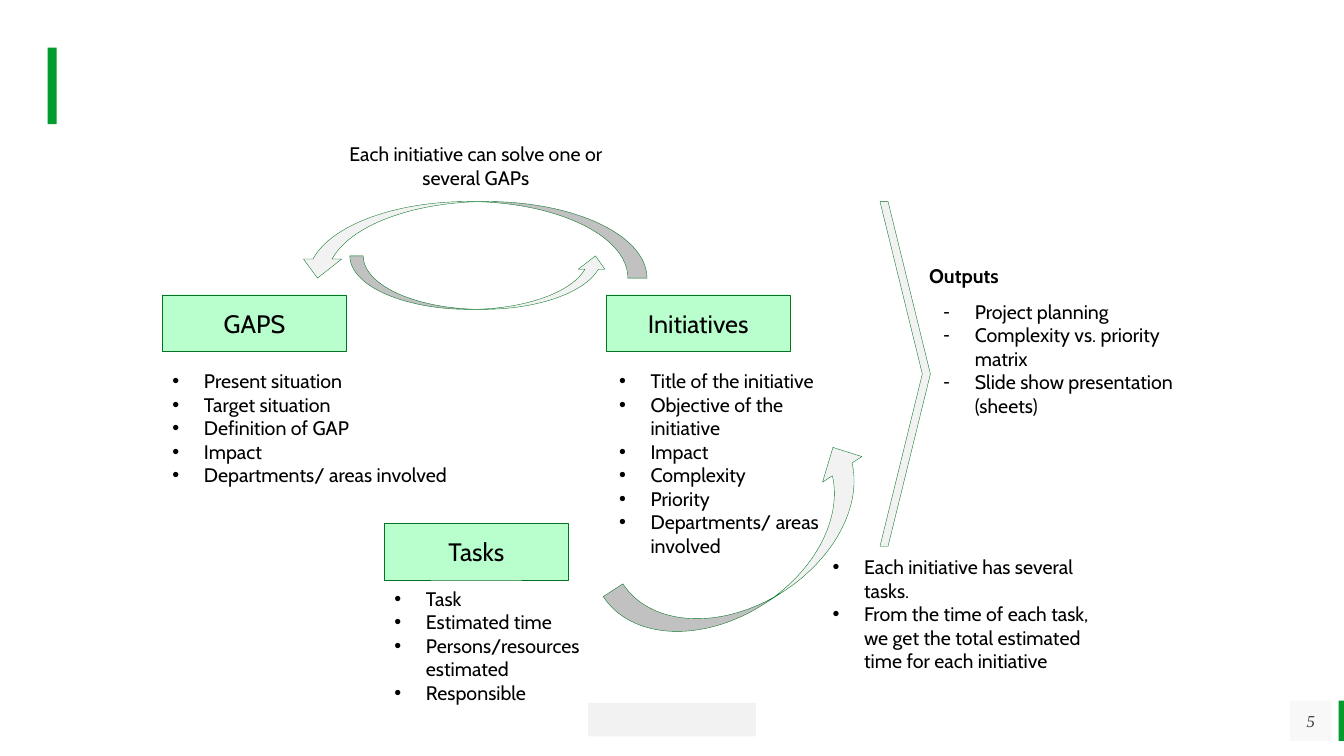
import pptx
import pptx.dml.color
import pptx.enum.shapes
import pptx.enum.text
import pptx.oxml
import pptx.oxml.ns
import pptx.util

Pt = pptx.util.Pt
SHAPES = pptx.enum.shapes.MSO_SHAPE
ALIGN = pptx.enum.text.PP_ALIGN
ANCHOR = pptx.enum.text.MSO_ANCHOR
GREEN, DARK_GREEN, MINT = "029B2D", "017321", "B9FECD"
PALE, GREY, BLACK = "F2F2F2", "404040", "000000"
SERIF = "Times New Roman"


def colour(code):
    """Turn a hex string into a colour."""
    return pptx.dml.color.RGBColor.from_string(code)


def xml_element(tag, **attributes):
    """Make a DrawingML element with the given attributes."""
    element = pptx.oxml.parse_xml(f'<a:{tag} {pptx.oxml.ns.nsdecls("a")}/>')
    for name, value in attributes.items():
        element.set(name, value)
    return element


class Page:
    """Holds the text style and the current slide, and draws its elements."""

    def __init__(self, slide, font="Cabin", size=14):
        self.slide, self.font, self.size = slide, font, size
        self.bodies = [holder for holder in slide.placeholders
                       if 1 <= holder.placeholder_format.idx <= 4]
        for holder in list(slide.placeholders):
            if holder.placeholder_format.idx not in (1, 2, 3, 4):
                holder.element.getparent().remove(holder.element)

    def span(self, para, text, size=None, code=BLACK, bold=False, italic=False, font=None):
        """Add one formatted run to a paragraph."""
        span = para.add_run()
        span.text = text
        span.font.name, span.font.size = font or self.font, Pt(size or self.size)
        span.font.bold, span.font.italic = bold, italic
        span.font.color.rgb = colour(code)

    def shape(self, kind, place, fill, line=None, rotation=0, flip=None):
        """Draw a preset shape, turned and mirrored when asked."""
        shape = self.slide.shapes.add_shape(kind, *map(Pt, place))
        shape.shadow.inherit = False
        shape.fill.solid()
        shape.fill.fore_color.rgb = colour(fill)
        if line:
            shape.line.color.rgb = colour(line)
            shape.line.width = Pt(0.25)
        else:
            shape.line.fill.background()
        shape.rotation = rotation
        if flip:
            shape.element.spPr.get_or_add_xfrm().set(flip, "1")
        return shape

    def label(self, shape, text, **style):
        """Centre a label inside a shape."""
        frame = shape.text_frame
        frame.margin_left = frame.margin_right = frame.margin_top = frame.margin_bottom = 0
        frame.vertical_anchor = ANCHOR.MIDDLE
        para = frame.paragraphs[0]
        para.alignment = ALIGN.CENTER
        self.span(para, text, **style)

    def text(self, place, align=ALIGN.LEFT):
        """Add a wrapping text box and return its frame."""
        frame = self.slide.shapes.add_textbox(*map(Pt, place)).text_frame
        frame.word_wrap = True
        frame.paragraphs[0].alignment = align
        return frame

    def bullets(self, place, items, mark="•"):
        """Fill the next body placeholder, or a text box, with a list."""
        if self.bodies:
            body = self.bodies.pop(0)
            body.left, body.top, body.width, body.height = map(Pt, place)
            frame = body.text_frame
        else:
            frame = self.text(place)
        frame.auto_size = pptx.enum.text.MSO_AUTO_SIZE.NONE
        frame.vertical_anchor = ANCHOR.TOP
        for index, item in enumerate(items):
            para = frame.add_paragraph() if index else frame.paragraphs[0]
            para.space_before = para.space_after = Pt(0)
            para.line_spacing = 1.0
            properties = para._p.get_or_add_pPr()
            properties.set("marL", str(Pt(22.5)))
            properties.set("indent", str(-Pt(22.5)))
            properties.append(xml_element("buFont", typeface="Arial"))
            properties.append(xml_element("buChar", char=mark))
            self.span(para, item)


def main():
    """Build the slide and save it."""
    deck = pptx.Presentation()
    deck.slide_width, deck.slide_height = Pt(960), Pt(540)
    page = Page(deck.slides.add_slide(deck.slide_layouts.get_by_name("Comparison")))

    for place in ((956.2, 500.4, 3.8, 28.8), (34, 34, 6.5, 54.7)):
        page.shape(SHAPES.RECTANGLE, place, GREEN)
    page.shape(SHAPES.RECTANGLE, (420, 502, 120, 24), PALE)

    number = page.shape(SHAPES.RECTANGLE, (921.6, 500.4, 29.5, 28.8), PALE)
    tint = number.element.spPr.find(".//" + pptx.oxml.ns.qn("a:srgbClr"))
    tint.append(xml_element("alpha", val="50000"))
    page.label(number, "5", size=12, code=GREY, italic=True, font=SERIF)

    for name, left, top in (("GAPS", 116, 210.5), ("Initiatives", 433, 210.5),
                            ("Tasks", 274.5, 373.8)):
        box = page.shape(SHAPES.RECTANGLE, (left, top, 131.5, 40.5), MINT, DARK_GREEN)
        page.label(box, name, size=18)

    for place, rotation, flip in (((310.3, 46.8, 54.7, 249.1), 270, "flipV"),
                                  ((504.7, 290.2, 67, 212.4), 57, "flipV"),
                                  ((323.3, 109.4, 38.2, 185), 270, "flipH")):
        page.shape(SHAPES.CURVED_LEFT_ARROW, place, PALE, DARK_GREEN, rotation, flip)
    chevron = page.shape(SHAPES.CHEVRON, (628.6, 144, 36, 246.2), PALE, DARK_GREEN)
    chevron.adjustments[0] = 0.84

    page.bullets((116, 260, 222, 109),
                 ("Present situation", "Target situation", "Definition of GAP", "Impact",
                  "Departments/ areas involved"))
    page.bullets((435, 260, 174, 160),
                 ("Title of the initiative", "Objective of the initiative", "Impact",
                  "Complexity", "Priority", "Departments/ areas involved"))
    page.bullets((274.5, 415.5, 190, 75),
                 ("Task", "Estimated time", "Persons/resources estimated", "Responsible"))
    page.bullets((587.5, 393, 214, 92),
                 ("Each initiative has several tasks.",
                  "From the time of each task, we get the total estimated time "
                  "for each initiative"))
    page.bullets((666.7, 210.5, 201, 109),
                 ("Project planning", "Complexity vs. priority matrix",
                  "Slide show presentation (sheets)"), "-")

    caption = page.text((235.4, 98, 209, 41), ALIGN.CENTER)
    page.span(caption.paragraphs[0], "Each initiative can solve one or several GAPs")
    heading = page.text((656.6, 185, 201, 24.5))
    page.span(heading.paragraphs[0], "Outputs", bold=True)

    deck.save("out.pptx")


if __name__ == "__main__":
    main()
